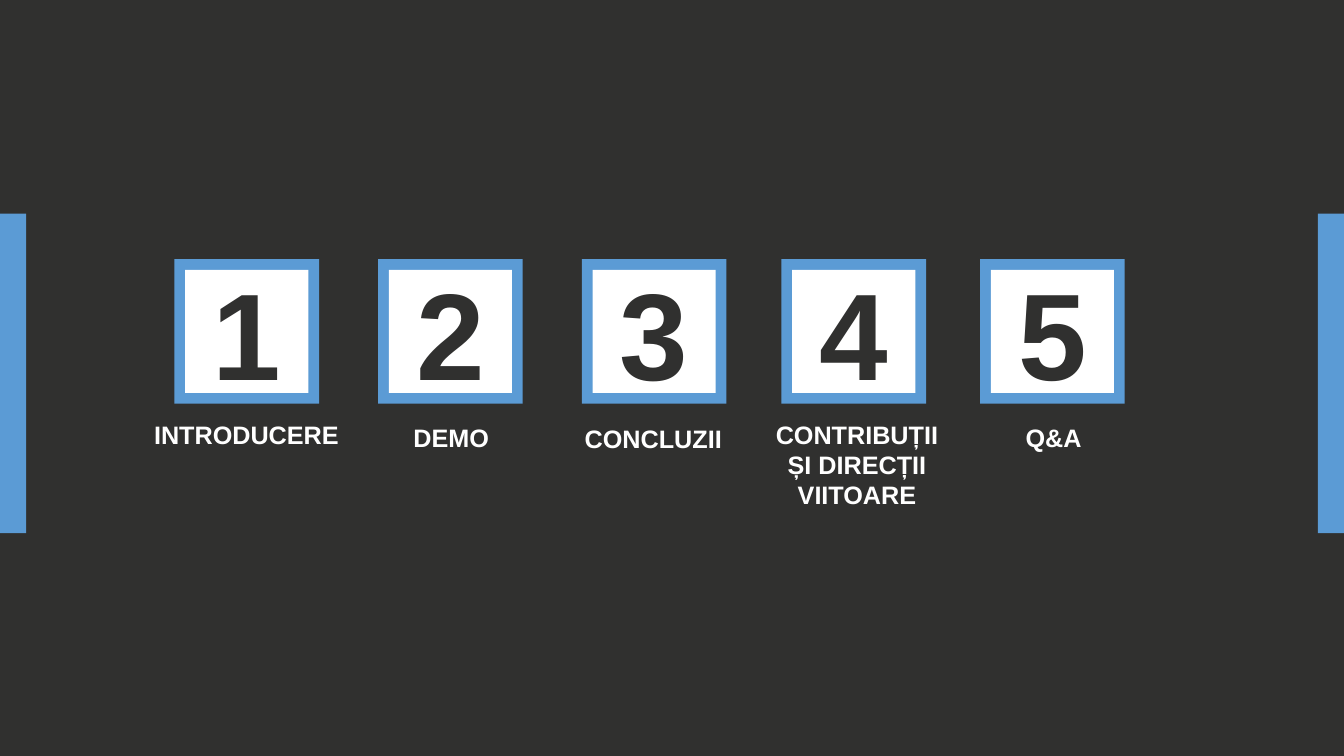
from dataclasses import dataclass

from pptx import Presentation
from pptx.dml.color import RGBColor
from pptx.enum.shapes import MSO_SHAPE
from pptx.enum.text import MSO_ANCHOR, MSO_AUTO_SIZE, PP_ALIGN
from pptx.shapes.autoshape import Shape
from pptx.slide import Slide
from pptx.text.text import _Paragraph
from pptx.util import Inches, Pt

COLORS = {"dark": "30302F", "blue": "5B9BD5", "white": "FFFFFF"}
WIDTH, HEIGHT = 13.33, 7.5
BAR_W, BAR_H, BAR_TOP = 0.26, 3.17, 2.12
TILE, TILE_TOP, BORDER = 1.435, 2.57, 0.107


@dataclass(frozen=True)
class Topic:
    tile_left: float
    label_left: float
    label_top: float
    label_width: float
    lines: tuple[str, ...]
    wrap: bool = False


TOPICS = [
    Topic(1.73, 1.41, 4.11, 2.07, ("INTRODUCERE",), True),
    Topic(3.75, 4.0, 4.14, 0.95, ("DEMO",)),
    Topic(5.77, 5.7, 4.15, 1.56, ("CONCLUZII",)),
    Topic(7.75, 7.43, 4.11, 2.14, ("CONTRIBUȚII", "ȘI DIRECȚII VIITOARE"), True),
    Topic(9.72, 10.07, 4.14, 0.76, ("Q&A",)),
]


def rgb(name: str) -> RGBColor:
    return RGBColor.from_string(COLORS[name])


def add_rect(s: Slide, x: float, y: float, w: float, h: float, color: str) -> Shape:
    sp = s.shapes.add_shape(MSO_SHAPE.RECTANGLE, Inches(x), Inches(y), Inches(w), Inches(h))
    sp.shadow.inherit = False
    sp.fill.solid()
    sp.fill.fore_color.rgb = rgb(color)
    sp.line.fill.background()
    return sp


def style(p: _Paragraph, size: int, color: str) -> None:
    p.alignment = PP_ALIGN.CENTER
    p.font.name = "Arial"
    p.font.size = Pt(size)
    p.font.bold = True
    p.font.color.rgb = rgb(color)


def add_tile(s: Slide, topic: Topic, number: int) -> None:
    """Draw a white numbered square on a larger blue one."""
    add_rect(s, topic.tile_left, TILE_TOP, TILE, TILE, "blue")
    inner = TILE - 2 * BORDER
    sp = add_rect(s, topic.tile_left + BORDER, TILE_TOP + BORDER, inner, inner, "white")
    tf = sp.text_frame
    tf.vertical_anchor = MSO_ANCHOR.MIDDLE
    tf.text = str(number)
    style(tf.paragraphs[0], 88, "dark")


def add_label(s: Slide, topic: Topic) -> None:
    height = 1.01 if len(topic.lines) > 1 else 0.4
    sp = s.shapes.add_textbox(Inches(topic.label_left), Inches(topic.label_top),
                              Inches(topic.label_width), Inches(height))
    tf = sp.text_frame
    tf.word_wrap = topic.wrap
    tf.auto_size = MSO_AUTO_SIZE.SHAPE_TO_FIT_TEXT
    tf.text = "\n".join(topic.lines)
    for p in tf.paragraphs:
        style(p, 18, "white")


def main() -> None:
    prs = Presentation()
    prs.slide_width, prs.slide_height = Inches(WIDTH), Inches(HEIGHT)
    s = prs.slides.add_slide(prs.slide_layouts[6])
    s.background.fill.solid()
    s.background.fill.fore_color.rgb = rgb("dark")
    for x in (0, WIDTH - BAR_W):
        add_rect(s, x, BAR_TOP, BAR_W, BAR_H, "blue")
    for number, topic in enumerate(TOPICS, start=1):
        add_tile(s, topic, number)
        add_label(s, topic)
    prs.save("out.pptx")


if __name__ == "__main__":
    main()
